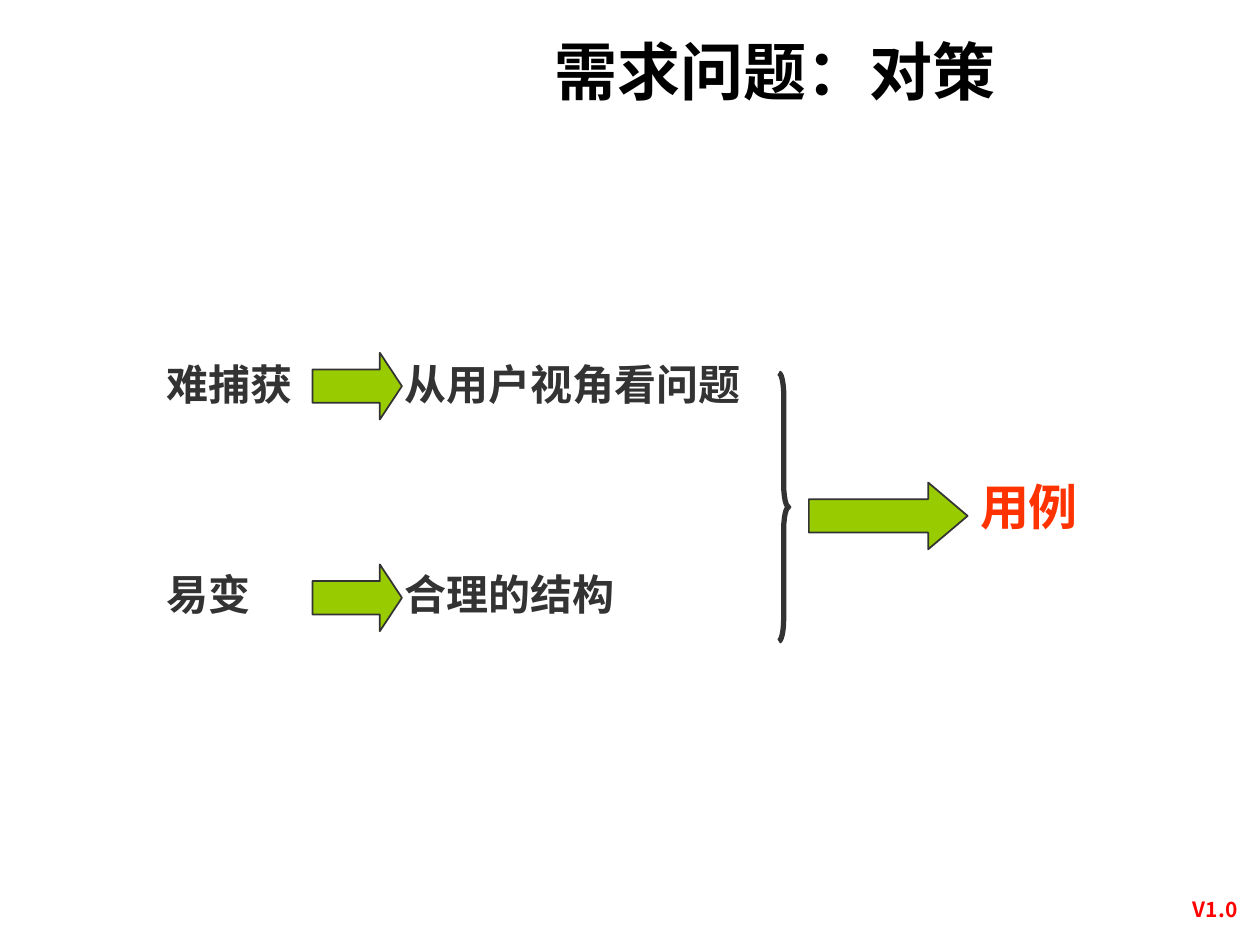
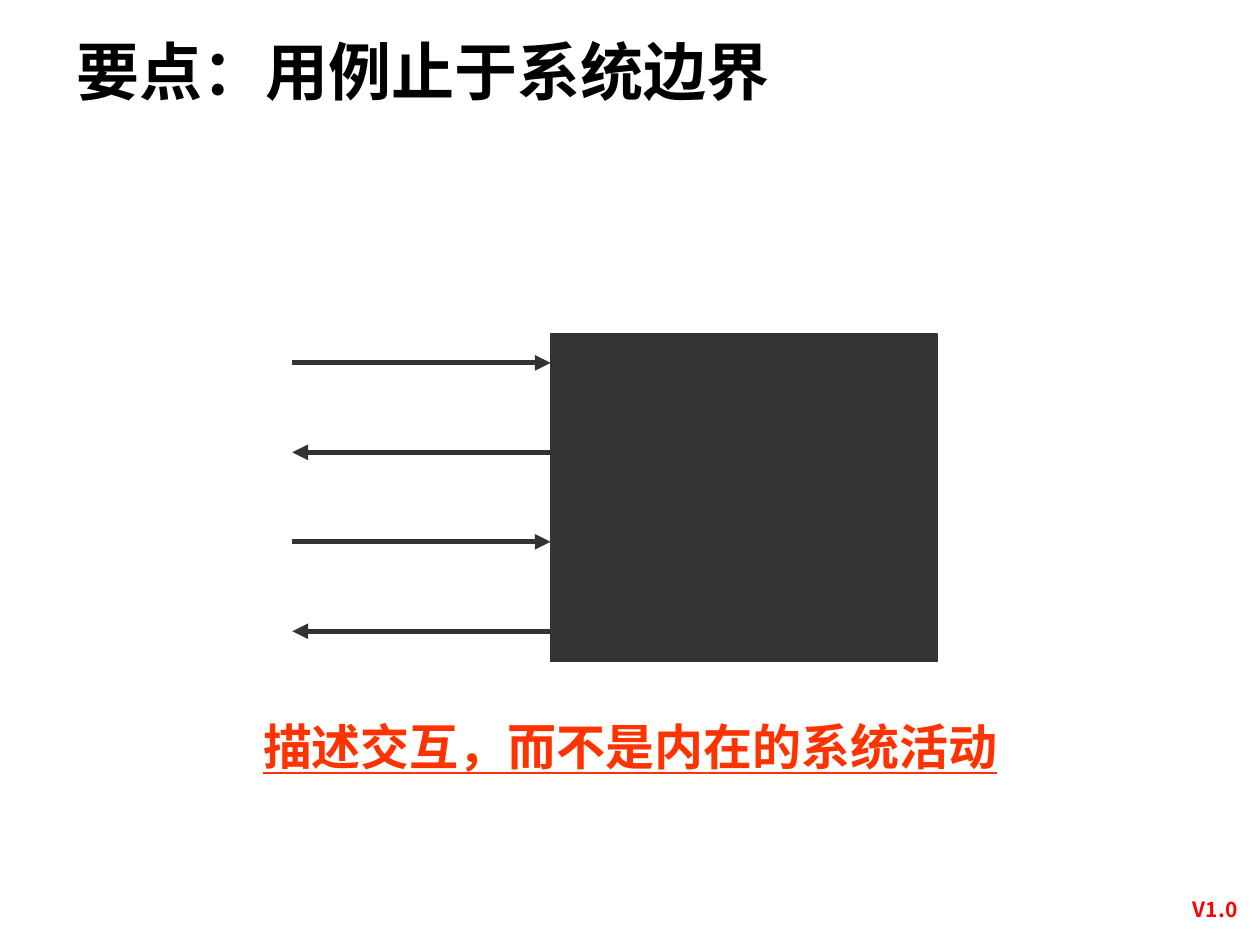
from pptx import Presentation
from pptx.dml.color import RGBColor as Rgb
from pptx.enum.shapes import MSO_CONNECTOR as Link, MSO_SHAPE as Kind
from pptx.enum.text import MSO_ANCHOR as Anchor, MSO_AUTO_SIZE as Auto, PP_ALIGN as Align
from pptx.oxml.ns import qn
from pptx.util import Inches, Pt
from lxml.etree import SubElement as Sub

INK = {"black": "000000", "dark": "333333", "red": "FF0000",
       "hot": "FF3300", "green": "99CC00"}

# Grid: 100 columns by 75 rows
deck = Presentation()
deck.slide_width, deck.slide_height = Inches(10), Inches(7.5)
COL = deck.slide_width / 100
ROW = deck.slide_height / 75


def grid(x, y, w, h):
    return int(x * COL), int(y * ROW), int(w * COL), int(h * ROW)


def write(page, text, spot, size=24, ink="dark", face="Arial", align=Align.LEFT,
          line=False, anchor=Anchor.TOP, pad=0.05, auto=Auto.SHAPE_TO_FIT_TEXT):
    frame = page.shapes.add_textbox(*grid(*spot)).text_frame
    frame.word_wrap = True
    frame.auto_size = auto
    frame.vertical_anchor = anchor
    frame.margin_top = frame.margin_bottom = Inches(pad)
    para = frame.paragraphs[0]
    para.alignment = align
    run = para.add_run()
    run.text = text
    font = run.font
    font.name, font.size, font.bold = face, Pt(size), True
    font.underline = line
    font.color.rgb = Rgb.from_string(INK[ink])


# Shared title and version mark
pages = []
for title, left, wide in [("需求问题：对策", 43, 51.3),
                          ("要点：用例止于系统边界", 5.1, 89.1)]:
    page = deck.slides.add_slide(deck.slide_layouts[6])
    write(page, "V1.0", (92.5, 70.7, 7.9, 3), size=12, ink="red",
          face="Noto Sans CJK SC", align=Align.CENTER)
    write(page, title, (left, 3, wide, 5.6), size=36, ink="black",
          anchor=Anchor.BOTTOM, pad=0, auto=Auto.NONE)
    pages.append(page)
plan, edge = pages

# Slide 1: problems and answers
for top, issue, reply in [(28, "难捕获", "从用户视角看问题"),
                          (44.6, "易变", "合理的结构")]:
    write(plan, issue, (12.2, top, 15.7, 5))
    write(plan, reply, (31.1, top, 30, 5))
write(plan, "用例", (76.8, 37.3, 15.8, 5.7), size=28, ink="hot")

# Arrows, brace and system block
for page, kind, spot, bend, fill, wide in [
        (plan, Kind.RIGHT_ARROW, (24.8, 28, 7.1, 5.3), (0.5, 0.33), "green", 1),
        (plan, Kind.RIGHT_ARROW, (24.8, 44.8, 7.1, 5.3), (0.5, 0.33), "green", 1),
        (plan, Kind.RIGHT_ARROW, (64.2, 38.3, 12.6, 5.3), (0.5, 0.59), "green", 1),
        (plan, Kind.RIGHT_BRACE, (61.8, 29.6, 0.8, 21.3), (2.2, 0.5), None, 3),
        (edge, Kind.RECTANGLE, (43.7, 26.5, 30.7, 26), (), "dark", 1)]:
    form = page.shapes.add_shape(kind, *grid(*spot))
    form.shadow.inherit = False
    for i, bent in enumerate(bend):
        form.adjustments[i] = bent
    if fill:
        form.fill.solid()
        form.fill.fore_color.rgb = Rgb.from_string(INK[fill])
    else:
        form.fill.background()
    form.line.color.rgb = Rgb.from_string(INK["dark"])
    form.line.width = Pt(wide)

# Slide 2: messages in and out of the system by turns
for i in range(4):
    ends = (23.2, 43.7) if i % 2 == 0 else (43.7, 23.2)
    x, y, far, _ = grid(ends[0], 28.8 + 7.1 * i, ends[1], 0)
    flow = edge.shapes.add_connector(Link.STRAIGHT, x, y, far, y)
    flow.line.color.rgb = Rgb.from_string(INK["dark"])
    flow.line.width = Pt(3)
    Sub(flow.line._get_or_add_ln(), qn("a:tailEnd"), type="triangle")
    Sub(flow._element.spPr, qn("a:effectLst"))

write(edge, "描述交互，而不是内在的系统活动", (5.1, 56.4, 89.8, 5.7), size=28,
      ink="hot", align=Align.CENTER, line=True)

deck.save("out.pptx")
